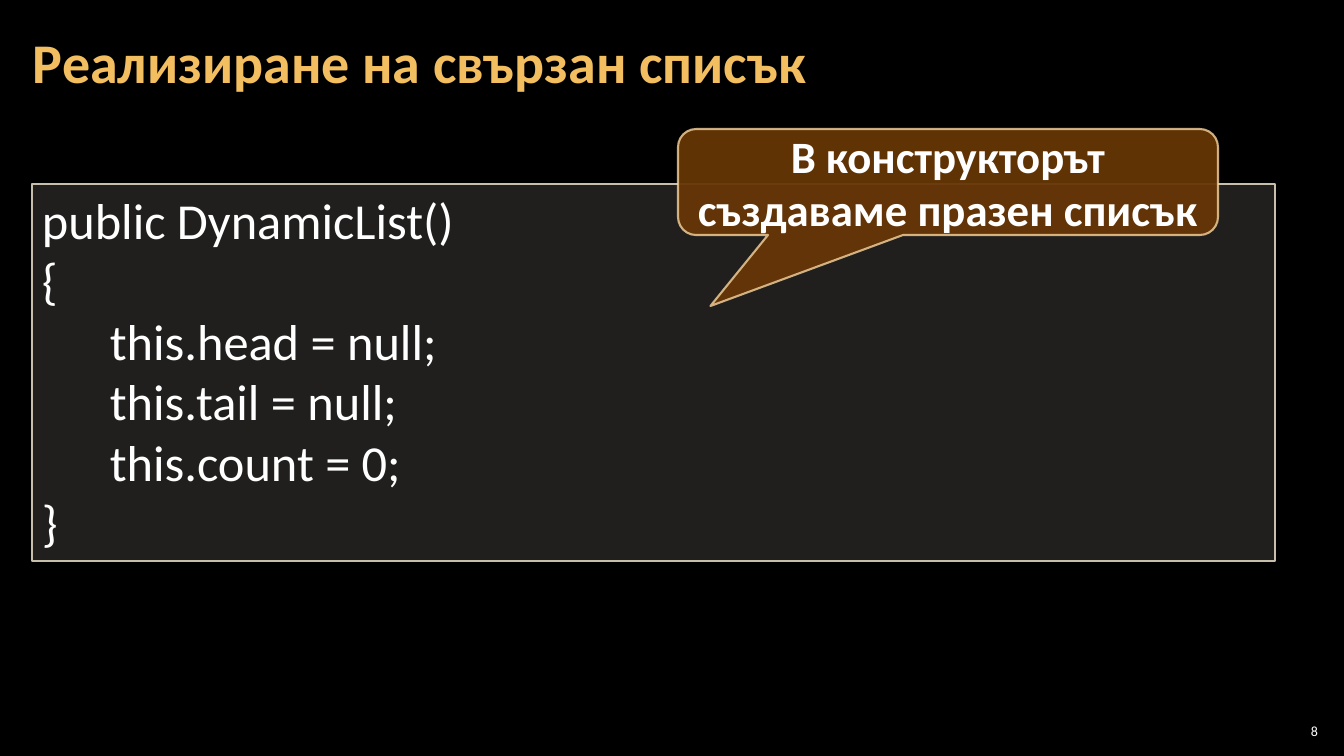
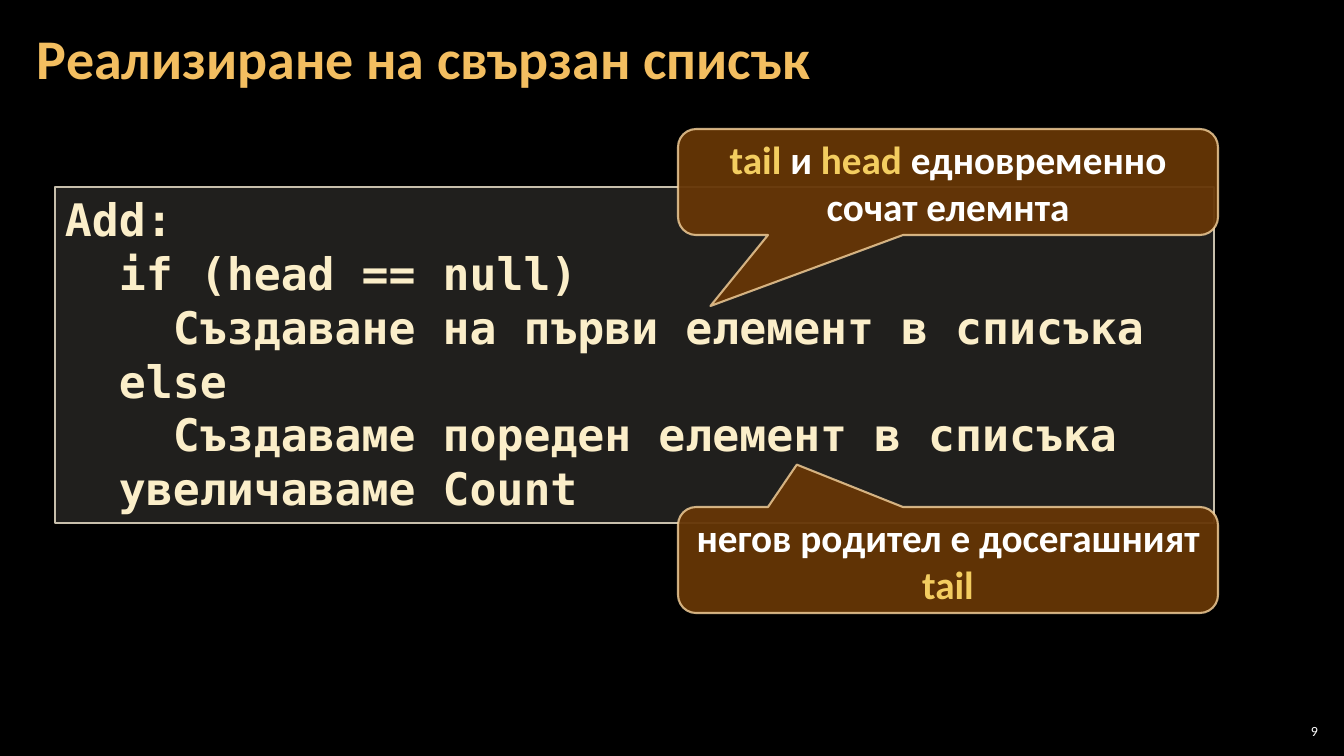
import pptx
import pptx.util
import pptx.dml.color
import pptx.enum.shapes
import pptx.enum.text
import pptx.oxml.ns
import lxml.etree

SHAPES = pptx.enum.shapes.MSO_SHAPE
ALIGN = pptx.enum.text.PP_ALIGN
ANCHOR = pptx.enum.text.MSO_ANCHOR
PX_PER_INCH = 100.8
PAGE_SIZE = (1344, 756)
CALLOUT_SIZE = (540, 106)
TITLE_SIZE = (1055, 122)
TITLE = "Реализиране на свързан списък"
SANS = "Calibri"
MONO = "DejaVu Sans Mono"
COLORS = {
    "background": "000000",
    "title": "F3BE60",
    "text": "FFFFFF",
    "cream": "FBEEC9",
    "keyword": "F3CD60",
    "panel": "D9D5C7",
    "panel_line": "C7BFAC",
    "callout": "663606",
    "callout_line": "F8D49E",
}


def px(length):
    return pptx.util.Emu(round(length * 914400 / PX_PER_INCH))


def rgb(name):
    return pptx.dml.color.RGBColor.from_string(COLORS[name])


def paint(fill, color, opacity=100):
    fill.solid()
    fill.fore_color.rgb = rgb(color)
    if opacity < 100:
        node = fill._xPr.find(".//" + pptx.oxml.ns.qn("a:srgbClr"))
        alpha = lxml.etree.SubElement(node, pptx.oxml.ns.qn("a:alpha"))
        alpha.set("val", str(opacity * 1000))


def style(para, size, color, font=SANS, bold=False, align=ALIGN.LEFT):
    para.alignment = align
    para.font.name = font
    para.font.size = pptx.util.Pt(size)
    para.font.bold = bold
    para.font.color.rgb = rgb(color)


def add_label(page, area, text, side_inset):
    box = page.shapes.add_textbox(*map(px, area))
    frame = box.text_frame
    frame.word_wrap = True
    frame.vertical_anchor = ANCHOR.MIDDLE
    frame.margin_left = frame.margin_right = px(side_inset)
    frame.margin_top = frame.margin_bottom = px(4)
    para = frame.paragraphs[0]
    para.text = text
    return para


def add_panel(page, kind, area, fill, line, width, line_opacity=100):
    box = page.shapes.add_shape(kind, *map(px, area))
    box.shadow.inherit = False
    paint(box.fill, *fill)
    paint(box.line.fill, line, line_opacity)
    box.line.width = pptx.util.Pt(width)
    box.text_frame.word_wrap = True
    return box


def add_page(deck, number, title_corner):
    page = deck.slides.add_slide(deck.slide_layouts[6])
    paint(page.background.fill, "background")
    style(add_label(page, (1275, 720, 47, 21), str(number), 4),
          10, "text", align=ALIGN.RIGHT)
    title = add_label(page, (*title_corner, *TITLE_SIZE), TITLE, 12)
    style(title, 40, "title", bold=True)
    title.line_spacing = 0.9
    return page


def add_code(page, area, lines, indent, **look):
    box = add_panel(page, SHAPES.RECTANGLE, area, ("panel", 15), "panel_line", 1)
    frame = box.text_frame
    frame.vertical_anchor = ANCHOR.TOP
    for index, (level, text) in enumerate(lines):
        para = frame.add_paragraph() if index else frame.paragraphs[0]
        para.text = text
        style(para, **look)
        if level:
            para._p.get_or_add_pPr().set("marL", str(px(level * indent)))


def add_callout(page, corner, tip, size, spans):
    box = add_panel(page, SHAPES.ROUNDED_RECTANGULAR_CALLOUT,
                    (*corner, *CALLOUT_SIZE), ("callout", 95),
                    "callout_line", 1.5, 80)
    for index, value in enumerate((*tip, 0.17)):
        box.adjustments[index] = value
    box.text_frame.vertical_anchor = ANCHOR.MIDDLE
    para = box.text_frame.paragraphs[0]
    style(para, size, "text", bold=True, align=ALIGN.CENTER)
    for text, color in spans:
        span = para.add_run()
        span.text = text
        if color != "text":
            span.font.color.rgb = rgb(color)


def build_constructor_page(deck):
    page = add_page(deck, 8, (21, 4))
    lines = [
        (0, "public DynamicList()"),
        (0, "{"),
        (1, "this.head = null;"),
        (1, "this.tail = null;"),
        (1, "this.count = 0;"),
        (0, "}"),
    ]
    add_code(page, (32, 184, 1243, 377), lines, 68, size=36, color="text")
    add_callout(page, (678, 129), (-0.44, 1.17), 32,
                [("В конструкторът създаваме празен списък", "text")])


def build_add_page(deck):
    page = add_page(deck, 9, (25, 0))
    lines = [
        (0, "Add:"),
        (1, "if (head == null)"),
        (2, "Създаване на първи елемент в списъка"),
        (1, "else"),
        (2, "Създаваме пореден елемент в списъка"),
        (1, "увеличаваме Count"),
    ]
    add_code(page, (55, 187, 1159, 336), lines, 54,
             size=32, color="cream", font=MONO, bold=True)
    add_callout(page, (678, 129), (-0.44, 1.17), 28,
                [("tail ", "keyword"), ("и", "text"), (" head", "keyword"),
                 (" едновременно сочат елемнта", "text")])
    add_callout(page, (678, 507), (-0.28, -0.9), 28,
                [("негов родител е досегашният ", "text"), ("tail", "keyword")])


def main():
    deck = pptx.Presentation()
    deck.slide_width, deck.slide_height = map(px, PAGE_SIZE)
    build_constructor_page(deck)
    build_add_page(deck)
    deck.save("out.pptx")


if __name__ == "__main__":
    main()
